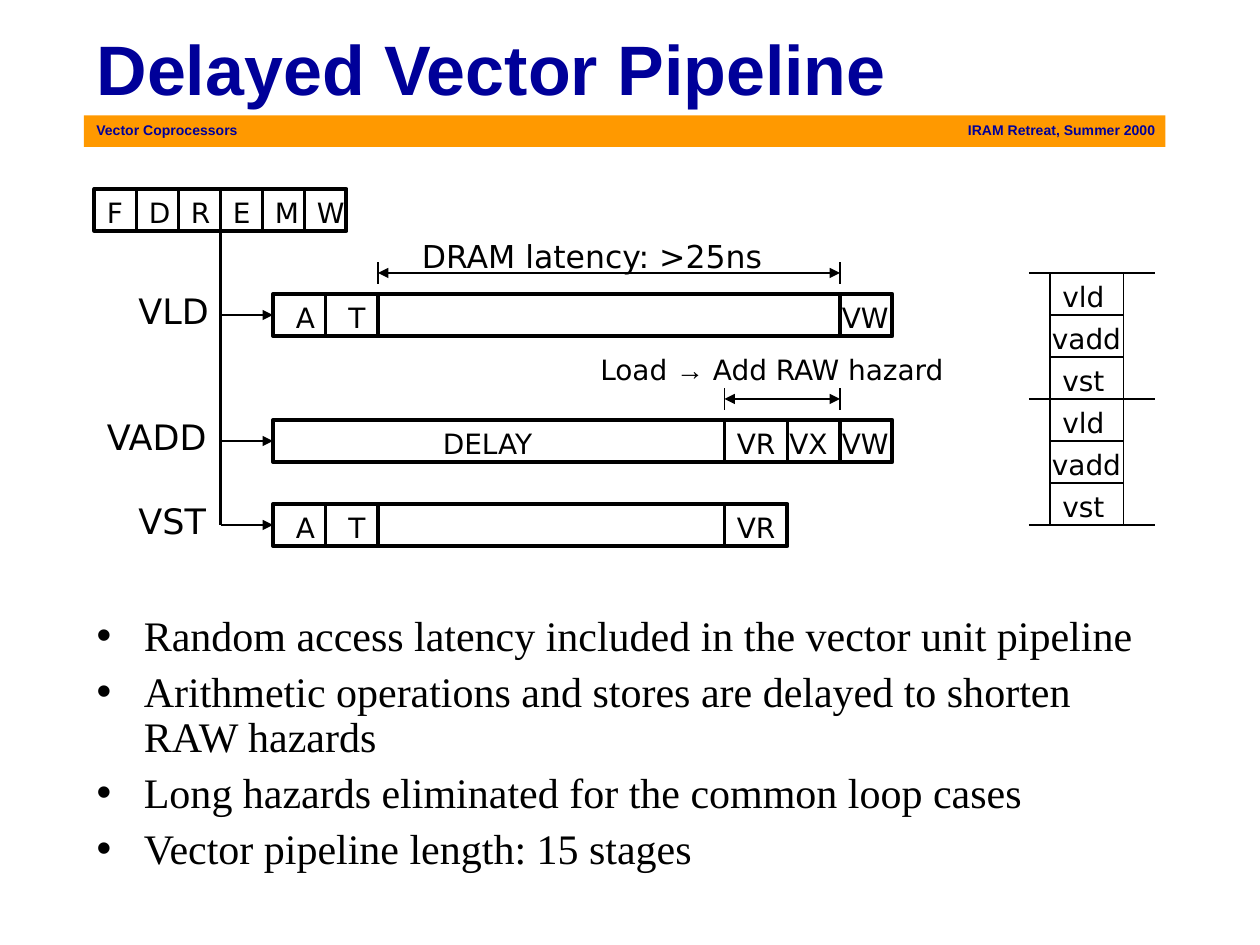
from lxml import etree
from pptx import Presentation
from pptx.dml.color import RGBColor
from pptx.enum.shapes import MSO_CONNECTOR, MSO_SHAPE
from pptx.enum.text import MSO_ANCHOR, MSO_AUTO_SIZE, PP_ALIGN
from pptx.oxml.ns import qn
from pptx.util import Pt

PX = 9525
LINE = MSO_CONNECTOR.STRAIGHT
RECT = MSO_SHAPE.RECTANGLE
LEFT = PP_ALIGN.LEFT
TOP, BOTTOM = MSO_ANCHOR.TOP, MSO_ANCHOR.BOTTOM
FIXED = MSO_AUTO_SIZE.NONE

BLACK = RGBColor(0x00, 0x00, 0x00)
NAVY = RGBColor(0x00, 0x00, 0x99)
ORANGE = RGBColor(0xFF, 0x99, 0x00)
SANS = "DejaVu Sans"

ROW = 32            # height of every stage and stack cell
BAR = 208           # left edge of the vector pipelines
STAGES = "FDREMW"
TITLE = "Delayed Vector Pipeline"
POINTS = [
    "Random access latency included in the vector unit pipeline",
    "Arithmetic operations and stores are delayed to shorten RAW hazards",
    "Long hazards eliminated for the common loop cases",
    "Vector pipeline length: 15 stages",
]
# name, name x, top, bar width, dividers, (stage, x)
PIPES = [
    ("VLD", 96, 224, 472, (248, 288, 640),
     (("A", 216), ("T", 256), ("VW", 632))),
    ("VADD", 72, 320, 472, (552, 600, 640),
     (("DELAY", 328), ("VR", 552), ("VX", 592), ("VW", 632))),
    ("VST", 96, 384, 392, (248, 288, 552),
     (("A", 216), ("T", 256), ("VR", 552))),
]


def put(para, text, font=SANS, size=16, color=BLACK, bold=False):
    """Add one formatted run to a paragraph."""
    run = para.add_run()
    run.text = text
    run.font.name = font
    run.font.size = Pt(size)
    run.font.bold = bold
    run.font.color.rgb = color


def label(slide, x, y, w, h, *parts, **form):
    """Text box; a part is a string or a (string, font) pair."""
    box = slide.shapes.add_textbox(x * PX, y * PX, w * PX, h * PX)
    box.text_frame.word_wrap = True
    para = box.text_frame.paragraphs[0]
    for part in parts:
        if isinstance(part, tuple):
            put(para, part[0], **{**form, "font": part[1]})
        else:
            put(para, part, **form)


def rect(slide, x, y, w, h, fill=None, line=None):
    box = slide.shapes.add_shape(RECT, x * PX, y * PX, w * PX, h * PX)
    box.shadow.inherit = False
    if fill is None:
        box.fill.background()
    else:
        box.fill.solid()
        box.fill.fore_color.rgb = fill
    if line is None:
        box.line.fill.background()
    else:
        box.line.color.rgb = BLACK
        box.line.width = Pt(line)
    return box


def wire(slide, x1, y1, x2, y2, width, heads=()):
    """Straight line; heads lists the ends that carry an arrowhead."""
    item = slide.shapes.add_connector(LINE, x1 * PX, y1 * PX, x2 * PX, y2 * PX)
    item.line.color.rgb = BLACK
    item.line.width = Pt(width)
    props = item._element.spPr
    for head in heads:
        etree.SubElement(props.find(qn("a:ln")), qn("a:" + head), type="triangle")
    etree.SubElement(props, qn("a:effectLst"))
    return item


def holder(shape, x, y, w, h, anchor):
    """Place a template placeholder and return its text frame."""
    shape.left, shape.top = x * PX, y * PX
    shape.width, shape.height = w * PX, h * PX
    frame = shape.text_frame
    frame.word_wrap = True
    frame.auto_size = FIXED
    frame.vertical_anchor = anchor
    return frame


def header(slide):
    rect(slide, 64, 88, 824, 24, fill=ORANGE)
    form = dict(font="Arial", color=NAVY, bold=True)
    label(slide, 64, 88, 192, 23, "Vector Coprocessors", size=8, **form)
    label(slide, 728, 88, 168, 23, "IRAM Retreat, Summer 2000", size=8, **form)
    para = holder(slide.shapes.title, 64, 24, 824, 64, BOTTOM).paragraphs[0]
    para.alignment = LEFT
    put(para, TITLE, size=40, **form)


def points(slide):
    frame = holder(slide.placeholders[1], 64, 464, 824, 224, TOP)
    for i, text in enumerate(POINTS):
        para = frame.add_paragraph() if i else frame.paragraphs[0]
        para.line_spacing = 0.9
        para.space_before = Pt(6)
        props = para._p.get_or_add_pPr()
        props.set("marL", str(36 * PX))
        props.set("indent", str(-36 * PX))
        etree.SubElement(props, qn("a:buChar"), char="•")
        put(para, text, font="Times New Roman", size=24)


def pipe(slide, x, y, w, cuts, names):
    """Bar cut into stages, with the stage names."""
    bar = rect(slide, x, y, w, ROW, line=2.25)
    for cut in cuts:
        wire(slide, cut, y, cut, y + ROW, 2.25)
    for name, left in names:
        label(slide, left, y, 120 if len(name) > 2 else 56, 36, name)
    return bar


def span(slide, x1, x2, y):
    """Double arrow between two ticks."""
    for x in (x1, x2):
        wire(slide, x, y - 8, x, y + 8, 0.75)
    wire(slide, x1, y, x2, y, 0.75, heads=("headEnd", "tailEnd"))


def pipes(slide):
    # Scalar pipeline and the rail that feeds the vector pipelines
    spots = [72 + ROW * i for i in range(len(STAGES))]
    core = pipe(slide, 72, 144, 192, spots[1:], zip(STAGES, spots))
    rail = wire(slide, 168, 176, 168, 400, 1.5)
    rail.begin_connect(core, 2)

    # Vector pipelines
    for name, left, y, w, cuts, names in PIPES:
        bar = pipe(slide, BAR, y, w, cuts, names)
        label(slide, left, y - 8, 112, 42, name, size=20)
        mid = y + ROW // 2
        feed = wire(slide, 168, mid, BAR, mid, 1.5, heads=("tailEnd",))
        feed.end_connect(bar, 1)

    # Latency and hazard spans
    span(slide, 288, 640, 208)
    label(slide, 312, 176, 384, 38, "DRAM latency: >25ns", size=18)
    span(slide, 552, 640, 304)
    label(slide, 448, 264, 288, 36, "Load ", ("→", "Arial"), " Add RAW hazard")


def stack(slide):
    """Instruction stream: two loop passes between rules."""
    for i, name in enumerate(["vld", "vadd", "vst"] * 2):
        y = 208 + ROW * i
        rect(slide, 800, y, 56, ROW, line=1)
        pad = 8 if name == "vadd" else 0
        label(slide, 800 - pad, y, 56 + 2 * pad, 36, name)
    for y in range(208, 401, 3 * ROW):
        wire(slide, 784, y, 880, y, 1.5)


def main():
    deck = Presentation()
    deck.slide_width, deck.slide_height = 960 * PX, 720 * PX
    slide = deck.slides.add_slide(deck.slide_layouts[1])
    header(slide)
    points(slide)
    pipes(slide)
    stack(slide)
    deck.save("out.pptx")


if __name__ == "__main__":
    main()
